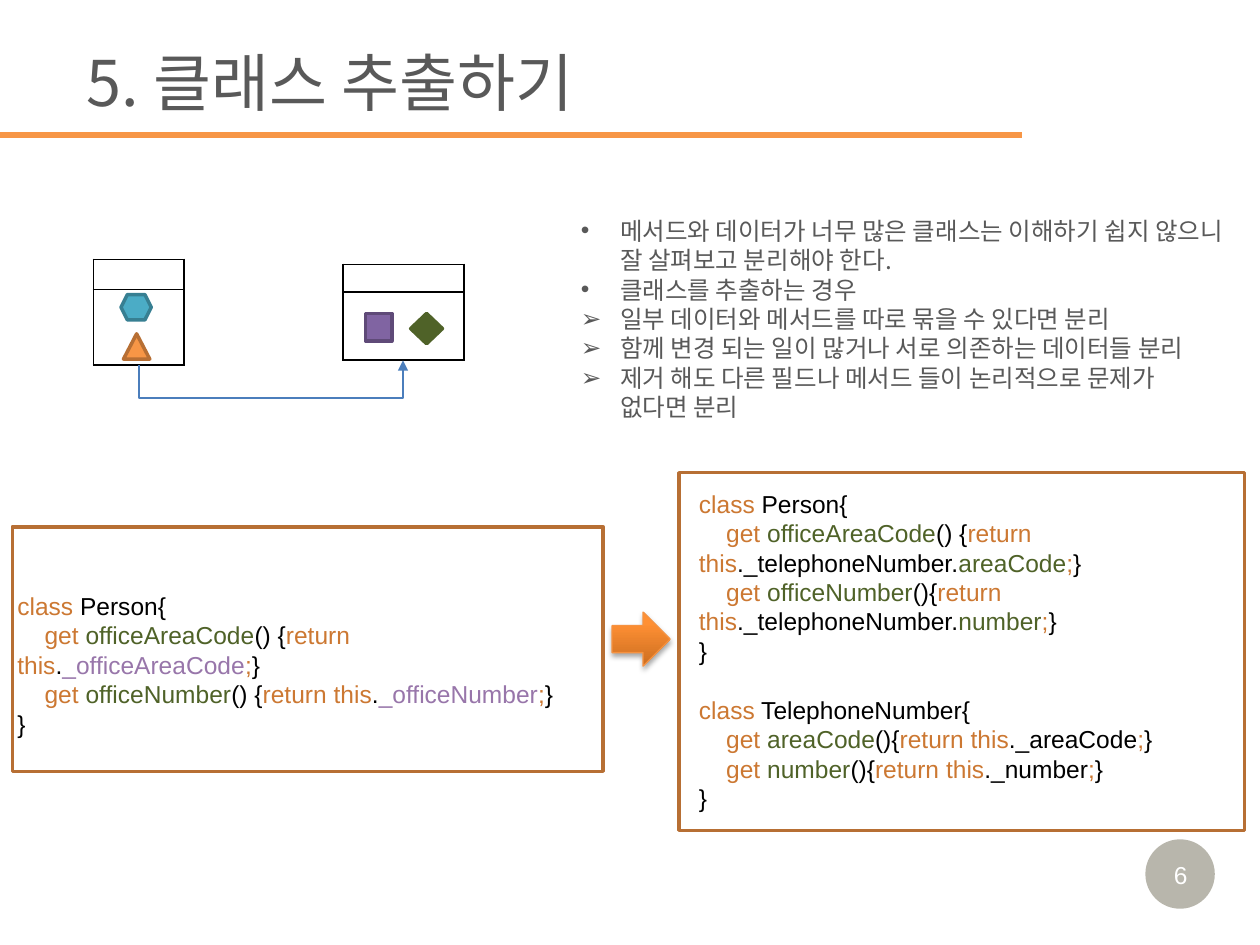
from dataclasses import dataclass
from itertools import groupby
from typing import NamedTuple, Optional

from lxml.etree import SubElement
from pptx import Presentation
from pptx.dml.color import RGBColor
from pptx.enum.dml import MSO_LINE
from pptx.enum.shapes import MSO_CONNECTOR, MSO_SHAPE
from pptx.enum.text import MSO_ANCHOR, PP_ALIGN
from pptx.oxml import parse_xml
from pptx.oxml.ns import nsdecls, qn
from pptx.util import Cm, Pt


@dataclass(frozen=True)
class Theme:
    text: str = "595959"
    accent: str = "F79646"
    frame: str = "B76F34"
    link: str = "4B7EBC"
    badge: str = "4A452A"
    white: str = "FFFFFF"
    black: str = "000000"
    keyword: str = "CC7832"
    member: str = "4F6228"
    private: str = "9876AA"
    arrow_line: str = "F69240"
    arrow_dark: str = "CC6E20"
    arrow_light: str = "FF9034"
    korean: str = "Noto Sans CJK KR"
    latin: str = "Arial"
    title_size: float = 36
    body_size: float = 14
    leading: float = 16.8


class Box(NamedTuple):
    """Left, top, width and height in centimetres."""
    left: float
    top: float
    width: float
    height: float

    def emu(self):
        return [Cm(v) for v in self]


class Figure(NamedTuple):
    kind: MSO_SHAPE
    box: Box
    fill: Optional[str]
    line: str


class ClassTable(NamedTuple):
    left: float
    top: float
    width: float
    rows: tuple


class Code(NamedTuple):
    frame: Box
    text: Box
    classes: tuple


T = Theme()
KEYWORDS = {"class", "get", "return", "this", ";"}
MEMBERS = {"officeAreaCode", "officeNumber", "areaCode", "number"}
PRIVATE = {"_officeAreaCode", "_officeNumber"}

FIGURES = [
    Figure(MSO_SHAPE.HEXAGON, Box(2.44, 5.94, 0.61, 0.51), "4BACC6", "377F92"),
    Figure(MSO_SHAPE.RECTANGLE, Box(7.37, 6.32, 0.53, 0.56), "8064A2", "5F4A78"),
    Figure(MSO_SHAPE.ISOSCELES_TRIANGLE, Box(2.49, 6.73, 0.53, 0.51), T.accent, T.frame),
    Figure(MSO_SHAPE.DIAMOND, Box(8.28, 6.32, 0.64, 0.61), T.member, T.member),
]
TABLES = [
    ClassTable(1.88, 5.23, 1.83, (0.61, 1.52)),
    ClassTable(6.91, 5.33, 2.44, (0.56, 1.37)),
]
BULLETS = [
    ("•", "메서드와 데이터가 너무 많은 클래스는 이해하기 쉽지 않으니 잘 살펴보고 분리해야 한다."),
    ("•", "클래스를 추출하는 경우"),
    ("➢", "일부 데이터와 메서드를 따로 묶을 수 있다면 분리"),
    ("➢", "함께 변경 되는 일이 많거나 서로 의존하는 데이터들 분리"),
    ("➢", "제거 해도 다른 필드나 메서드 들이 논리적으로 문제가 없다면 분리"),
]
CODES = [
    Code(Box(0.25, 10.62, 11.91, 4.93), Box(0.1, 11.79, 12.19, 2.64), (
        """class Person{
    get officeAreaCode() {return this._officeAreaCode;}
    get officeNumber() {return this._officeNumber;}
}""",)),
    Code(Box(13.69, 9.53, 11.4, 7.21), Box(13.84, 9.73, 11.1, 6.83), (
        """class Person{
    get officeAreaCode() {return this._telephoneNumber.areaCode;}
    get officeNumber(){return this._telephoneNumber.number;}
}""",
        """class TelephoneNumber{
    get areaCode(){return this._areaCode;}
    get number(){return this._number;}
}""")),
]


def rgb(color: str) -> RGBColor:
    return RGBColor.from_string(color)


def add_run(p, text: str, font: str, size: float, color: str) -> None:
    r = p.add_run()
    r.text = text
    for name, value in {"name": font, "size": Pt(size)}.items():
        setattr(r.font, name, value)
    r.font.color.rgb = rgb(color)
    SubElement(r.font._element, qn("a:ea")).set("typeface", font)


def add_text(s, box: Box, anchor=MSO_ANCHOR.TOP, wrap=True):
    tf = s.shapes.add_textbox(*box.emu()).text_frame
    for name, value in {"word_wrap": wrap, "vertical_anchor": anchor}.items():
        setattr(tf, name, value)
    return tf


def paragraphs(tf, items):
    """Yield a paragraph of the frame with each item."""
    for i, item in enumerate(items):
        yield (tf.add_paragraph() if i else tf.paragraphs[0]), item


def add_figure(s, fig: Figure, width: float = 2):
    sp = s.shapes.add_shape(fig.kind, *fig.box.emu())
    sp.shadow.inherit = False
    if fig.fill:
        sp.fill.solid()
        sp.fill.fore_color.rgb = rgb(fig.fill)
    else:
        sp.fill.background()
    sp.line.color.rgb = rgb(fig.line)
    sp.line.width = Pt(width)
    return sp


def add_badge(s, number: str) -> None:
    sp = add_figure(s, Figure(MSO_SHAPE.OVAL, Box(23.09, 16.92, 1.4, 1.4), T.badge, T.badge))
    sp.line.fill.background()
    color = sp._element.spPr.find(qn("a:solidFill"))[0]
    SubElement(color, qn("a:alpha")).set("val", "39000")
    p = add_text(s, Box(23.24, 17.22, 1.12, 0.86), wrap=False).paragraphs[0]
    p.alignment = PP_ALIGN.CENTER
    add_run(p, number, T.latin, T.body_size, T.white)


def add_bullets(s) -> None:
    tf = add_text(s, Box(11.46, 4.01, 13.51, 4.83), MSO_ANCHOR.MIDDLE)
    for p, (mark, text) in paragraphs(tf, BULLETS):
        p.line_spacing = Pt(T.leading)
        pPr = p._p.get_or_add_pPr()
        pPr.set("marL", str(Cm(0.79)))
        pPr.set("indent", str(-Cm(0.79)))
        SubElement(pPr, qn("a:buFont")).set("typeface", T.latin)
        SubElement(pPr, qn("a:buChar")).set("char", mark)
        add_run(p, text, T.korean, T.body_size, T.text)


def add_class_table(s, item: ClassTable) -> None:
    box = Box(item.left, item.top, item.width, sum(item.rows))
    table = s.shapes.add_table(len(item.rows), 1, *box.emu()).table
    table.first_row = table.horz_banding = False
    for i, height in enumerate(item.rows):
        table.rows[i].height = Cm(height)
        cell = table.cell(i, 0)
        cell.margin_top = cell.margin_bottom = 0
        p = cell.text_frame.paragraphs[0]._p
        SubElement(p, qn("a:endParaRPr")).set("sz", "800")
        for side in ("lnL", "lnR", "lnT", "lnB"):
            cell._tc.get_or_add_tcPr().append(parse_xml(
                f'<a:{side} {nsdecls("a")} w="12700"><a:solidFill>'
                f'<a:srgbClr val="{T.black}"/></a:solidFill></a:{side}>'))
        cell.fill.background()


def add_line(s, kind, start: tuple, end: tuple, color: str, width: float):
    cxn = s.shapes.add_connector(kind, *(Cm(v) for v in start + end))
    cxn.line.color.rgb = rgb(color)
    cxn.line.width = Pt(width)
    cxn.line.dash_style = MSO_LINE.SOLID
    SubElement(cxn._element.spPr, qn("a:effectLst"))
    return cxn


def add_class_link(s) -> None:
    """Draw the elbow that leaves one table's bottom and enters the other's."""
    cxn = add_line(s, MSO_CONNECTOR.ELBOW, (5.41, 4.65), (5.51, 9.98), T.link, 1.25)
    spPr = cxn._element.spPr
    for name, value in {"rot": "5400000", "flipH": "1", "flipV": "1"}.items():
        spPr.find(qn("a:xfrm")).set(name, value)
    guide = SubElement(spPr.find(qn("a:prstGeom")).find(qn("a:avLst")), qn("a:gd"))
    guide.set("name", "adj1")
    guide.set("fmla", "val -652600")
    SubElement(spPr.find(qn("a:ln")), qn("a:tailEnd")).set("type", "triangle")


def token_color(token: str) -> str:
    for words, color in ((KEYWORDS, T.keyword), (MEMBERS, T.member), (PRIVATE, T.private)):
        if token in words:
            return color
    return T.black


def add_code(s, code: Code) -> None:
    add_figure(s, Figure(MSO_SHAPE.RECTANGLE, code.frame, None, T.frame))
    for p, source in paragraphs(add_text(s, code.text), code.classes):
        p.line_spacing = Pt(T.leading)
        if source != code.classes[0]:
            p.space_before = Pt(T.leading)
        for i, line in enumerate(source.split("\n")):
            if i:
                p.add_line_break()
            tokens = ["".join(g) for _, g in groupby(
                line, lambda c: "word" if c.isalnum() or c == "_" else c == ";")]
            for color, group in groupby(tokens, token_color):
                add_run(p, "".join(group), T.latin, T.body_size, color)


def add_step_arrow(s) -> None:
    box = Box(12.34, 12.34, 1.17, 1.09)
    sp = add_figure(s, Figure(MSO_SHAPE.RIGHT_ARROW, box, None, T.arrow_line), 0.75)
    sp.fill.gradient()
    sp.fill.gradient_angle = 90
    for stop, (at, color) in zip(sp.fill.gradient_stops, ((0, T.arrow_dark), (0.8, T.arrow_light))):
        stop.position = at
        stop.color.rgb = rgb(color)
    sp._element.spPr.find(qn("a:effectLst")).append(parse_xml(
        f'<a:outerShdw {nsdecls("a")} blurRad="{Pt(3.1)}" dist="{Pt(1.8)}" dir="5400000" '
        f'rotWithShape="0"><a:srgbClr val="{T.black}"><a:alpha val="35000"/></a:srgbClr>'
        '</a:outerShdw>'))


def main() -> None:
    prs = Presentation()
    prs.slide_width, prs.slide_height = Cm(25.4), Cm(19.05)
    s = prs.slides.add_slide(prs.slide_layouts[6])
    add_badge(s, "6")
    title = add_text(s, Box(1.5, 0.74, 23.9, 1.8), MSO_ANCHOR.MIDDLE)
    add_run(title.paragraphs[0], "5. 클래스 추출하기", T.korean, T.title_size, T.text)
    add_bullets(s)
    add_line(s, MSO_CONNECTOR.STRAIGHT, (0, 2.72), (20.6, 2.72), T.accent, 3)
    for fig in FIGURES:
        add_figure(s, fig)
    for item in TABLES:
        add_class_table(s, item)
    add_class_link(s)
    for code in CODES:
        add_code(s, code)
    add_step_arrow(s)
    prs.save("out.pptx")


if __name__ == "__main__":
    main()
